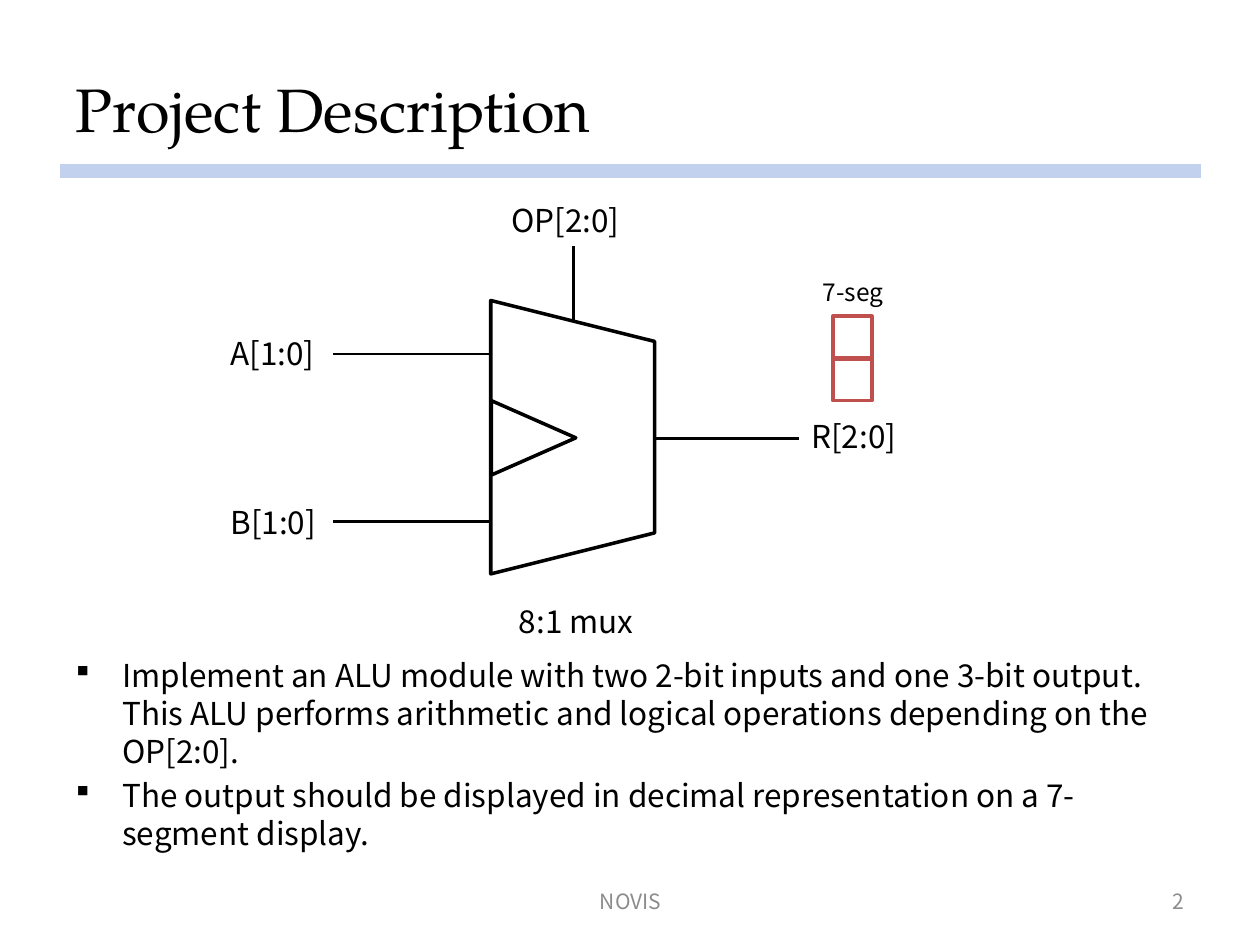
"""Build the project description slide with its ALU block diagram."""
from lxml.etree import SubElement
from pptx import Presentation
from pptx.dml.color import RGBColor
from pptx.enum.shapes import MSO_CONNECTOR, MSO_SHAPE
from pptx.enum.text import MSO_ANCHOR, MSO_AUTO_SIZE, PP_ALIGN
from pptx.oxml.ns import qn
from pptx.util import Inches, Pt

COLORS = {"black": "000000", "rule": "C2D1ED", "gray": "8C8C8C", "red": "C0504D"}
SANS, SERIF = "Noto Sans CJK KR", "TeX Gyre Pagella"

TITLE = "Project Description"
BULLETS = [
    "Implement an ALU module with two 2-bit inputs and one 3-bit output. "
    "This ALU performs arithmetic and logical operations depending on the OP[2:0].",
    "The output should be displayed in decimal representation on a 7-segment display.",
]
LABELS = [
    ("8:1 mux", 4.02, 4.73),
    ("A[1:0]", 1.73, 2.6),
    ("B[1:0]", 1.73, 3.94),
    ("OP[2:0]", 3.96, 1.55),
    ("R[2:0]", 6.34, 3.26),
]
WIRES = [
    (3.9, 2.81, 2.64, 2.81),
    (3.9, 4.14, 2.64, 4.14),
    (4.55, 2.55, 4.55, 1.95),
    (6.34, 3.48, 5.2, 3.48),
]
OUTLINES = [
    (MSO_SHAPE.TRAPEZOID, (3.46, 2.82, 2.17, 1.3), 90, "black"),
    (MSO_SHAPE.ISOSCELES_TRIANGLE, (3.94, 3.14, 0.59, 0.67), 90, "black"),
    (MSO_SHAPE.RECTANGLE, (6.61, 2.51, 0.31, 0.34), 0, "red"),
    (MSO_SHAPE.RECTANGLE, (6.61, 2.84, 0.31, 0.34), 0, "red"),
]
FOOTERS = [
    ("NOVIS", (3.42, 6.95, 3.17, 0.4), PP_ALIGN.CENTER),
    ("2", (7.17, 6.95, 2.33, 0.4), PP_ALIGN.RIGHT),
]


def place(shape, box):
    shape.left, shape.top, shape.width, shape.height = map(Inches, box)


def write(shape, *texts, size=18, font=SANS, color="black",
          align=PP_ALIGN.LEFT, anchor=MSO_ANCHOR.TOP):
    frame = shape.text_frame
    frame.word_wrap = True
    frame.auto_size = MSO_AUTO_SIZE.NONE
    frame.vertical_anchor = anchor
    frame.text = "\n".join(texts)
    for paragraph in frame.paragraphs:
        paragraph.alignment = align
        for run in paragraph.runs:
            run.font.size = Pt(size)
            run.font.name = font
            run.font.color.rgb = RGBColor.from_string(COLORS[color])


def add_label(slide, text, box, **text_format):
    write(slide.shapes.add_textbox(*map(Inches, box)), text, **text_format)


def add_line(slide, ends, color="black", width=1.5):
    line = slide.shapes.add_connector(MSO_CONNECTOR.STRAIGHT, *map(Inches, ends))
    line.line.color.rgb = RGBColor.from_string(COLORS[color])
    line.line.width = Pt(width)
    SubElement(line._element.spPr, qn("a:effectLst"))


def add_outline(slide, kind, box, rotation, color):
    shape = slide.shapes.add_shape(kind, *map(Inches, box))
    shape.shadow.inherit = False
    shape.rotation = rotation
    shape.fill.background()
    shape.line.color.rgb = RGBColor.from_string(COLORS[color])
    shape.line.width = Pt(2)


def add_bullets(body):
    place(body, (0.5, 5.16, 9, 1.63))
    write(body, *BULLETS)
    for paragraph in body.text_frame.paragraphs:
        paragraph.line_spacing = 1.0
        paragraph.space_before = Pt(3.6)
        properties = paragraph._p.get_or_add_pPr()
        properties.set("marL", str(Inches(0.37)))
        properties.set("indent", str(-Inches(0.37)))
        SubElement(properties, qn("a:buFont"), typeface="Wingdings", charset="2")
        SubElement(properties, qn("a:buChar"), char="§")


presentation = Presentation()
presentation.slide_width, presentation.slide_height = Inches(10), Inches(7.5)
slide = presentation.slides.add_slide(presentation.slide_layouts[1])

add_line(slide, (0.48, 1.36, 9.53, 1.36), color="rule", width=8)
place(slide.shapes.title, (0.5, 0.3, 9, 1.11))
write(slide.shapes.title, TITLE, size=35, font=SERIF, anchor=MSO_ANCHOR.MIDDLE)
add_bullets(slide.placeholders[1])

for text, box, align in FOOTERS:
    add_label(slide, text, box, size=12, color="gray", align=align,
              anchor=MSO_ANCHOR.MIDDLE)
for outline in OUTLINES:
    add_outline(slide, *outline)
for wire in WIRES:
    add_line(slide, wire)
for text, left, top in LABELS:
    add_label(slide, text, (left, top, 1.18, 0.4))
add_label(slide, "7-seg", (6.18, 2.15, 1.18, 0.34), size=14, align=PP_ALIGN.CENTER)

presentation.save("out.pptx")
